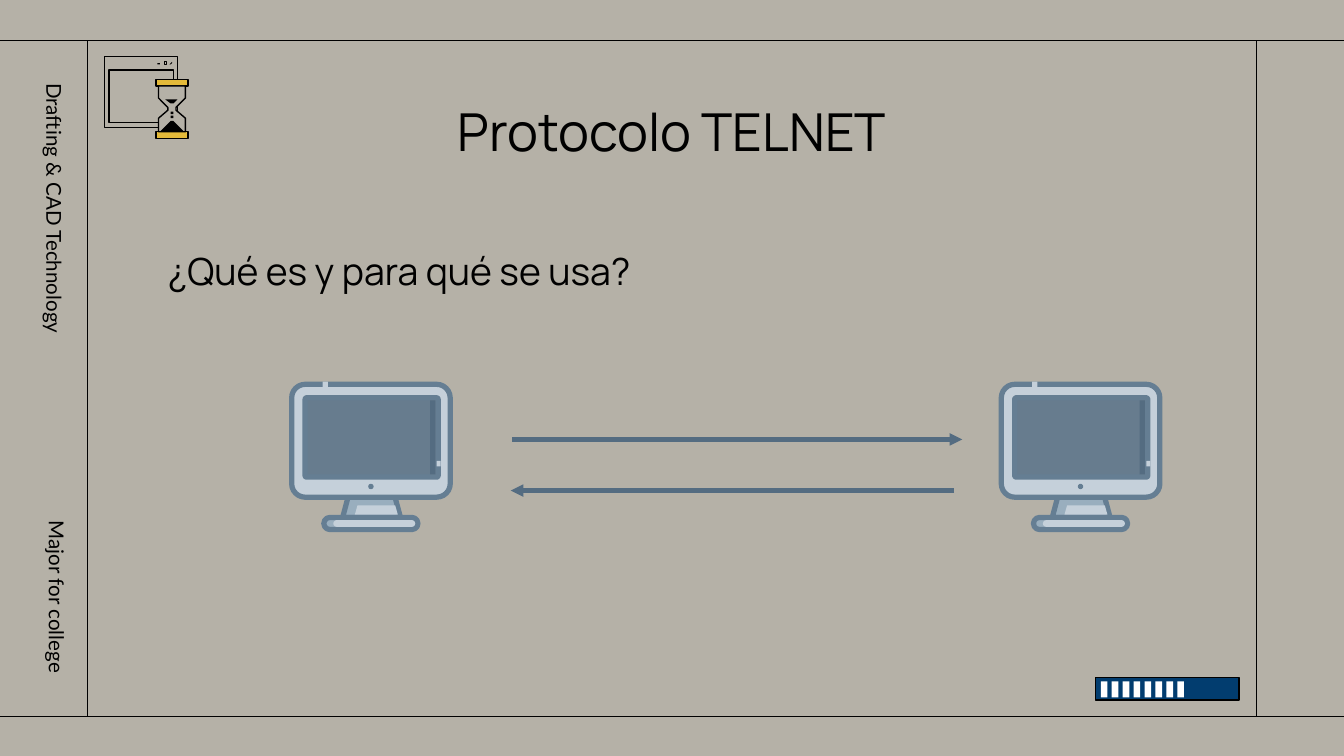
"""Build the TELNET protocol slide: two computers exchanging messages."""
from dataclasses import dataclass

from lxml.etree import SubElement
from pptx import Presentation
from pptx.dml.color import RGBColor as RGB
from pptx.enum.shapes import MSO_CONNECTOR as LINK, MSO_SHAPE as SHAPE
from pptx.enum.text import MSO_ANCHOR as ANCHOR, PP_ALIGN as ALIGN
from pptx.oxml.ns import qn
from pptx.util import Inches, Pt


@dataclass(frozen=True)
class Theme:
    paper: str = "B5B1A7"
    ink: str = "000000"
    white: str = "FFFFFF"
    navy: str = "023D6F"
    gold: str = "E4BA3A"
    light: str = "C5D0DA"
    shade: str = "99AEBE"
    rim: str = "657E93"
    glass: str = "677C8E"
    deep: str = "546C81"
    head: int = 28
    body: int = 20
    small: int = 11
    sans: str = "Manrope"
    side: str = "Lato"
    thin: float = 0.75
    bold: float = 2.25
    thick: float = 2.8


theme = Theme()
deck = Presentation()
deck.slide_width = Inches(10)
deck.slide_height = deck.slide_width * 9 // 16
slide = deck.slides.add_slide(deck.slide_layouts[6])
slide.background.fill.solid()
slide.background.fill.fore_color.rgb = RGB.from_string(theme.paper)
shapes = slide.shapes


def paint(shape, fill, edge=None, width=theme.thin):
    """Set fill and outline; None leaves either one out."""
    shape.shadow.inherit = False
    if fill:
        shape.fill.solid()
        shape.fill.fore_color.rgb = RGB.from_string(fill)
    else:
        shape.fill.background()
    if edge:
        shape.line.color.rgb = RGB.from_string(edge)
        shape.line.width = Pt(width)
    else:
        shape.line.fill.background()


def draw(form, fill, edge=None, width=theme.thin, curve=0):
    """Draw a (left, top, width, height) box or a list of corner points."""
    if isinstance(form, list):
        dots = [(Inches(x), Inches(y)) for x, y in form]
        pen = shapes.build_freeform(*dots[0])
        pen.add_line_segments(dots[1:], close=True)
        shape = pen.convert_to_shape()
    else:
        kind = SHAPE.ROUNDED_RECTANGLE if curve else SHAPE.RECTANGLE
        shape = shapes.add_shape(kind, *map(Inches, form))
        if curve:
            shape.adjustments[0] = curve
    paint(shape, fill, edge, width)


draw((8.15, 5.04, 1.07, 0.17), theme.navy, theme.ink)
for i in range(8):
    draw((8.19 + 0.57 * i / 7, 5.07, 0.05, 0.12), theme.white)

for x1, y1, x2, y2, color, width, arrow in (
    (-0.03, 0.3, 10.03, 0.3, theme.ink, theme.thin, False),
    (0.65, 5.33, 0.65, 0.3, theme.ink, theme.thin, False),
    (9.35, 5.33, 9.35, 0.3, theme.ink, theme.thin, False),
    (-0.03, 5.33, 10.03, 5.33, theme.ink, theme.thin, False),
    (3.81, 3.27, 7.16, 3.27, theme.deep, theme.bold, True),
    (7.1, 3.65, 3.8, 3.65, theme.deep, theme.bold, True),
):
    line = shapes.add_connector(LINK.STRAIGHT, *map(Inches, (x1, y1, x2, y2)))
    line.line.color.rgb = RGB.from_string(color)
    line.line.width = Pt(width)
    if arrow:
        SubElement(line.get_or_add_ln(), qn("a:tailEnd"), type="triangle")
    SubElement(line.element.spPr, qn("a:effectLst"))

draw((0.78, 0.42, 0.54, 0.53), theme.paper, theme.ink)
draw((0.81, 0.52, 0.48, 0.39), None, theme.ink)
draw((1.17, 0.47, 0.02, 0.01), theme.ink)
draw((1.22, 0.46, 0.02, 0.02), None, theme.ink, 0.4)
draw([(1.28, 0.46), (1.26, 0.48), (1.27, 0.48), (1.28, 0.47)], theme.ink)
for y in (0.59, 0.98):
    draw((1.16, y, 0.24, 0.05), theme.gold, theme.ink)
left = [(1.18, 0.64), (1.18, 0.73), (1.25, 0.8),
        (1.25, 0.82), (1.18, 0.88), (1.18, 0.98)]
right = [(2.56 - x, y) for x, y in reversed(left)]
draw(left + right, theme.paper, theme.ink)
draw([(1.27, 0.9), (1.19, 0.98), (1.37, 0.98), (1.29, 0.9)], theme.ink)
draw([(1.23, 0.74), (1.27, 0.77), (1.29, 0.77), (1.32, 0.74)], theme.ink)
for y in (0.83, 0.86):
    draw((1.27, y, 0.02, 0.02), theme.ink)

for x in (2.17, 7.45):
    neck = [(0.42, 3.7), (0.38, 3.85), (0.81, 3.85), (0.77, 3.7)]
    shine = [(0.49, 3.76), (0.77, 3.76), (0.79, 3.83), (0.47, 3.83)]
    draw([(x + a, b) for a, b in neck], theme.shade, theme.rim, theme.thick)
    draw([(x + a, b) for a, b in shine], theme.light)
    draw((x + 0.24, 3.85, 0.7, 0.09), theme.shade, theme.rim, theme.thick, 0.5)
    draw((x + 0.31, 3.87, 0.61, 0.05), theme.light, curve=0.5)
    draw((x, 2.86, 1.18, 0.84), theme.light, theme.rim, theme.thick, 0.12)
    draw((x + 0.1, 2.96, 0.99, 0.59), theme.glass, theme.rim, theme.thick, 0.02)
    draw((x + 1.03, 2.98, 0.04, 0.55), theme.deep)
    draw((x + 0.23, 2.84, 0.04, 0.04), theme.light)
    draw((x + 1.08, 3.43, 0.03, 0.04), theme.light)
    draw((x + 0.57, 3.6, 0.04, 0.04), theme.rim, curve=0.5)

for words, place, turn, size, font, align, anchor, space, after in (
    ("Protocolo TELNET", (1.53, 0.66, 6.94, 0.63), 0,
     theme.head, theme.sans, ALIGN.CENTER, ANCHOR.MIDDLE, 1, 0),
    ("Drafting & CAD Technology", (-0.74, 1.57, 2.32, 0.22), 90,
     theme.small, theme.side, ALIGN.LEFT, ANCHOR.MIDDLE, 1.15, 12),
    ("Major for college", (-0.61, 3.96, 2.07, 0.22), 90,
     theme.small, theme.side, ALIGN.RIGHT, ANCHOR.MIDDLE, 1, 0),
    ("¿Qué es y para qué se usa?", (1.15, 1.75, 6.48, 0.54), 0,
     theme.body, theme.sans, ALIGN.LEFT, ANCHOR.TOP, 1, 0),
):
    box = shapes.add_textbox(*map(Inches, place))
    box.rotation = turn
    frame = box.text_frame
    frame.word_wrap = True
    frame.vertical_anchor = anchor
    frame.margin_left = frame.margin_right = Inches(0.1)
    frame.margin_top = frame.margin_bottom = Inches(0.1)
    para = frame.paragraphs[0]
    para.text = words
    para.alignment = align
    para.line_spacing = space
    para.space_after = Pt(after)
    para.font.size = Pt(size)
    para.font.name = font
    para.font.color.rgb = RGB.from_string(theme.ink)

deck.save("out.pptx")
